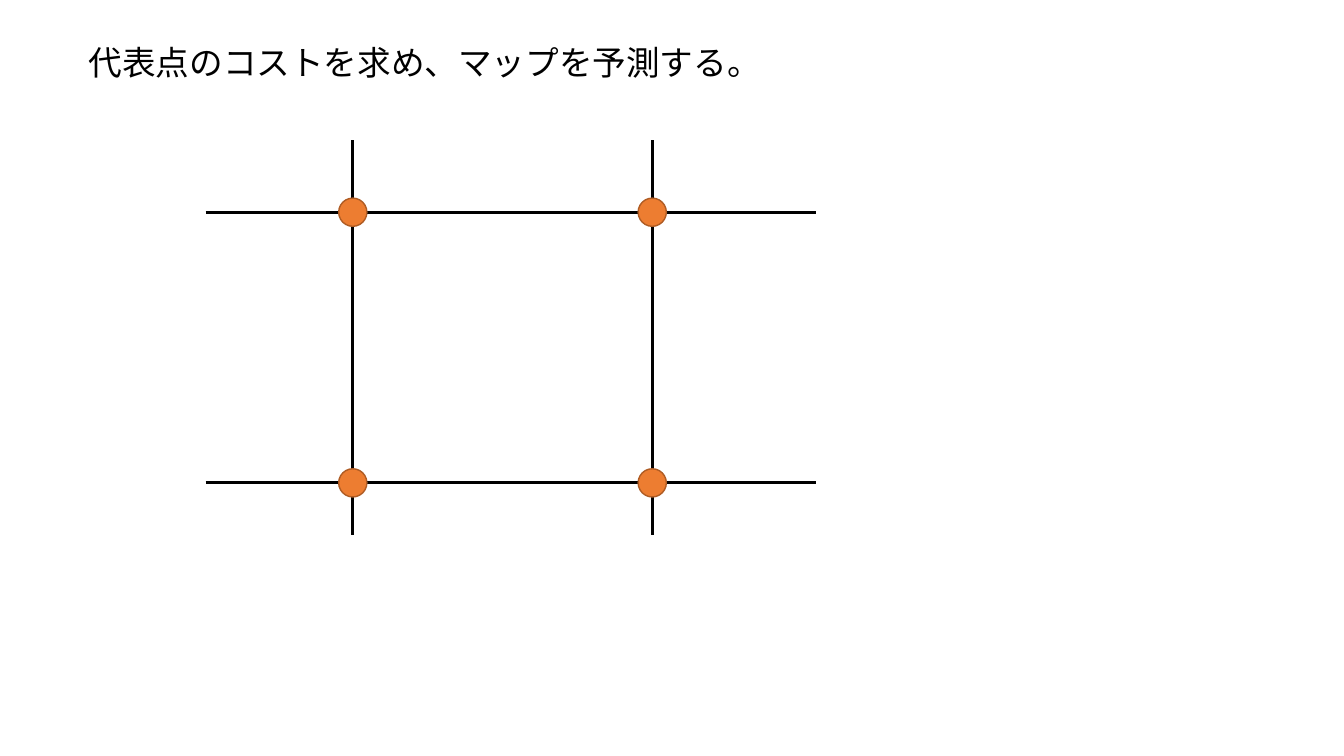
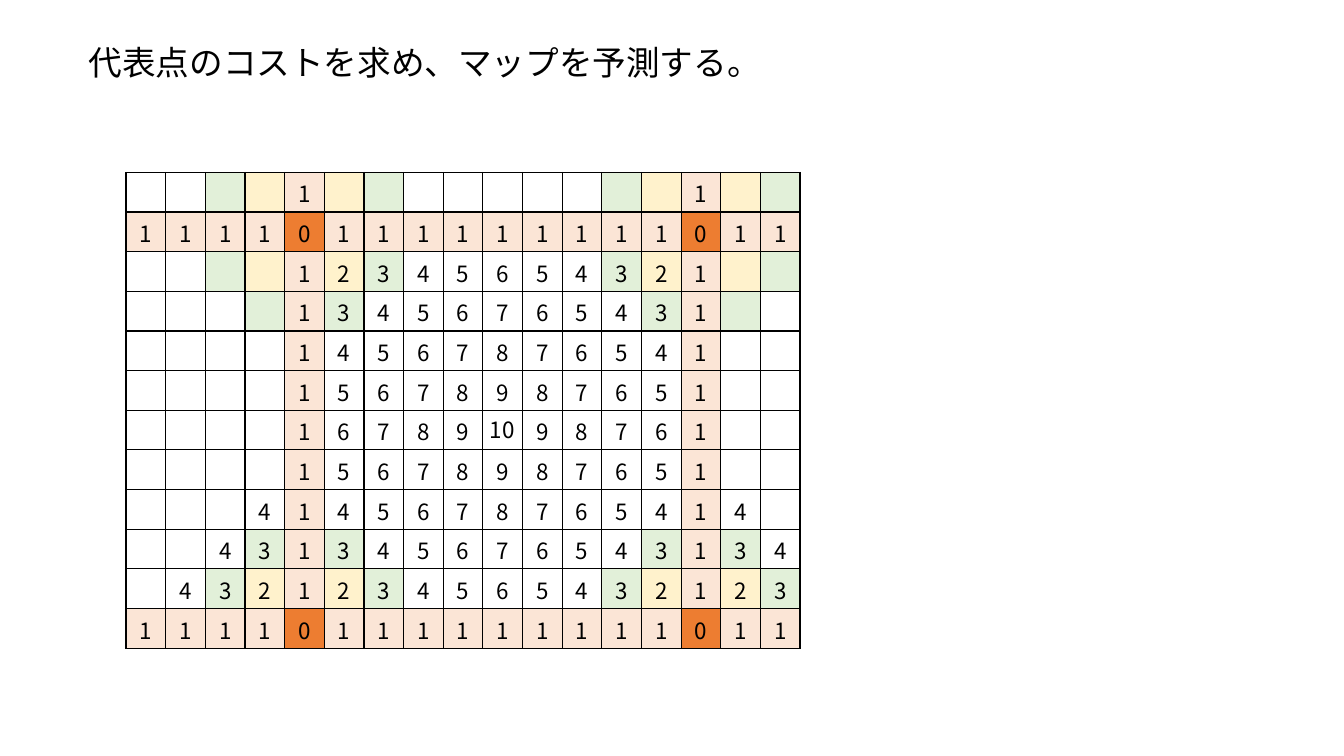
from dataclasses import dataclass
from itertools import product

from lxml import etree
from pptx import Presentation
from pptx import util as u
from pptx.dml.color import RGBColor
from pptx.enum import shapes, text
from pptx.oxml.ns import qn


@dataclass(frozen=True)
class Theme:
    font: str = "Noto Sans CJK JP"
    ink: str = "000000"
    point: str = "ED7D31"
    point_edge: str = "AF5C24"
    street: str = "FBE5D6"
    near: str = "FFF2CC"
    middle: str = "E2F0D9"
    title_size: float = 24
    number_size: float = 16
    street_line: float = 2.25
    thin_line: float = 1


class Deck:
    """Holds the style and the current slide; lengths are percent of the slide."""

    def __init__(self, theme):
        self.theme = theme
        self.show = Presentation()
        self.show.slide_width = u.Inches(40 / 3)
        self.show.slide_height = u.Inches(7.5)

    def x(self, share):
        return round(self.show.slide_width * share / 100)

    def y(self, share):
        return round(self.show.slide_height * share / 100)

    def box(self, left, top, width, height):
        return self.x(left), self.y(top), self.x(width), self.y(height)

    def set_words(self, frame, words, size, align=text.PP_ALIGN.LEFT):
        frame.text = words
        paragraph = frame.paragraphs[0]
        paragraph.alignment = align
        for run in paragraph.runs:
            run.font.size = u.Pt(size)
            run.font.name = self.theme.font
            run.font.color.rgb = RGBColor.from_string(self.theme.ink)
            east_asian = etree.SubElement(run.font._element, qn("a:ea"))
            east_asian.set("typeface", self.theme.font)

    def fit(self, frame):
        frame.word_wrap = True
        frame.auto_size = text.MSO_AUTO_SIZE.SHAPE_TO_FIT_TEXT
        frame.vertical_anchor = text.MSO_ANCHOR.TOP

    def slide(self, heading):
        self.page = self.show.slides.add_slide(self.show.slide_layouts[5])
        title = self.page.shapes.title
        title.left, title.top, title.width, title.height = self.box(5.85, 4.93, 55.28, 6.67)
        self.set_words(title.text_frame, heading, self.theme.title_size)
        self.fit(title.text_frame)

    def label(self, words, *area):
        frame = self.page.shapes.add_textbox(*self.box(*area)).text_frame
        self.set_words(frame, words, self.theme.number_size)
        self.fit(frame)

    def line(self, x1, y1, x2, y2):
        street = self.page.shapes.add_connector(
            shapes.MSO_CONNECTOR.STRAIGHT, self.x(x1), self.y(y1), self.x(x2), self.y(y2))
        street.line.color.rgb = RGBColor.from_string(self.theme.ink)
        street.line.width = u.Pt(self.theme.street_line)
        etree.SubElement(street._element.spPr, qn("a:effectLst"))

    def dot(self, x, y, share):
        size = self.x(share)
        dot = self.page.shapes.add_shape(
            shapes.MSO_SHAPE.OVAL, self.x(x) - size // 2, self.y(y) - size // 2, size, size)
        dot.shadow.inherit = False
        dot.fill.solid()
        dot.fill.fore_color.rgb = RGBColor.from_string(self.theme.point)
        dot.line.color.rgb = RGBColor.from_string(self.theme.point_edge)
        dot.line.width = u.Pt(self.theme.thin_line)

    def borders(self, cell):
        properties = cell._tc.get_or_add_tcPr()
        for side in ("L", "R", "T", "B"):
            edge = etree.SubElement(properties, qn(f"a:ln{side}"),
                                    w=str(u.Pt(self.theme.thin_line)))
            fill = etree.SubElement(edge, qn("a:solidFill"))
            etree.SubElement(fill, qn("a:srgbClr"), val=self.theme.ink)

    def table(self, rows, columns, area, content):
        grid = self.page.shapes.add_table(rows, columns, *self.box(*area)).table
        grid.first_row = grid.horz_banding = False
        for row, column in product(range(rows), range(columns)):
            words, colour = content(row, column)
            cell = grid.cell(row, column)
            cell.margin_left = cell.margin_right = cell.margin_bottom = u.Inches(0.02)
            cell.margin_top = u.Inches(0.04)
            cell.vertical_anchor = text.MSO_ANCHOR.MIDDLE
            self.set_words(cell.text_frame, words, self.theme.number_size, text.PP_ALIGN.CENTER)
            self.borders(cell)
            if colour:
                cell.fill.solid()
                cell.fill.fore_color.rgb = RGBColor.from_string(colour)
            else:
                cell.fill.background()


theme = Theme()
deck = Deck(theme)
HEADING = "代表点のコストを求め、マップを予測する。"

# Cost map: streets run through the representative points
POINT_ROWS, POINT_COLUMNS = (1, 11), (4, 14)
CENTRE = (6, 9)


def cost_cell(row, column):
    """Number and colour, from the steps to the nearest representative point."""
    steps = (min(abs(row - r) for r in POINT_ROWS)
             + min(abs(column - c) for c in POINT_COLUMNS))
    if steps == 0:
        return "0", theme.point
    if row in POINT_ROWS or column in POINT_COLUMNS:
        return "1", theme.street
    inside = (POINT_ROWS[0] < row < POINT_ROWS[1]
              and POINT_COLUMNS[0] < column < POINT_COLUMNS[1])
    lower_edge = row >= 8 and steps <= 4
    shown = (inside or lower_edge) and (row, column) != CENTRE
    return str(steps) if shown else "", {2: theme.near, 3: theme.middle}.get(steps)


# Slide 1: crossing streets with a point at each crossing
deck.slide(HEADING)
street_ys, street_xs = (28.07, 63.87), (26.25, 48.53)
for street_y in street_ys:
    deck.line(15.3, street_y, 60.68, street_y)
for street_x in street_xs:
    deck.line(street_x, 18.53, street_x, 70.8)
for crossing in product(street_xs, street_ys):
    deck.dot(*crossing, 2.1)

# Slide 2: predicted cost map, with the centre value on top
deck.slide(HEADING)
deck.table(12, 17, (9.38, 22.8, 50.18, 62.93), cost_cell)
deck.label("10", 35.7, 54.4, 4.13, 4.93)

deck.show.save("out.pptx")
